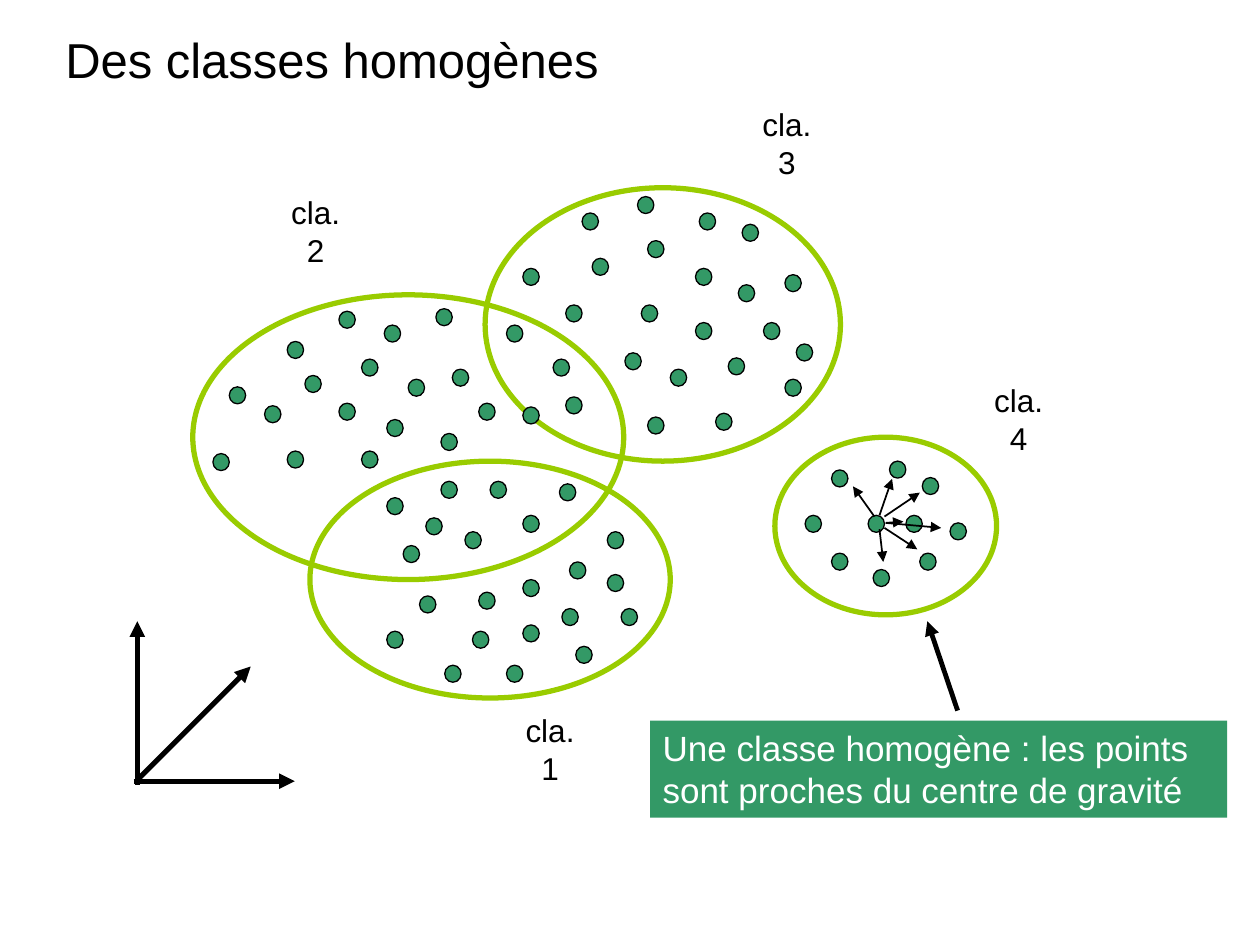
"""Build the slide on homogeneous classes, on a grid of 100 columns by 75 rows."""
from lxml import etree
from pptx import Presentation
from pptx.dml.color import RGBColor
from pptx.enum.shapes import MSO_CONNECTOR, MSO_SHAPE
from pptx.enum.text import MSO_ANCHOR, PP_ALIGN
from pptx.oxml.ns import qn
from pptx.util import Inches, Pt

OVAL, RECT, LINE = MSO_SHAPE.OVAL, MSO_SHAPE.RECTANGLE, MSO_CONNECTOR.STRAIGHT
MID, TOP = MSO_ANCHOR.MIDDLE, MSO_ANCHOR.TOP
LEFT, CENTER = PP_ALIGN.LEFT, PP_ALIGN.CENTER

THEME = {
    "font": "Arial",
    "ink": "000000", "ring": "99CC00", "dot": "339966", "paper": "FFFFFF",
    "title": 28, "note": 20, "label": 18,
    "bold": 3, "hint": 2.75, "ray": 1, "edge": 0.75,
}
WIDE, HIGH, COLS = 10, 7.5, 100
DOT = (1.3, 1.35)
TAG = (10.5, 5.3)

TITLE = ("Des classes homogènes", (4.2, 2.4, 91.7, 5.2))
NOTE = ("Une classe homogène : les points sont proches du centre de gravité",
        (51.6, 57.2, 45.8, 7.7))

CLASSES = [
    {"name": "cla. 2", "tag": (19.8, 15.7), "ring": (15.3, 23.4, 34.2, 22.6),
     "dots": [(34.6, 24.5), (43.9, 28.5), (44.9, 31.5), (40.2, 25.8),
              (35, 34.4), (22.8, 35.8), (26.9, 32), (38, 32), (32.4, 30.1),
              (30.7, 33.3), (28.7, 35.8), (22.8, 27.1), (26.9, 24.7),
              (28.7, 28.5), (30.5, 25.8), (18.2, 30.7), (16.9, 36),
              (21, 32.2), (24.2, 29.8), (35.9, 29.3), (41.5, 32.3)]},
    {"name": "cla. 1", "tag": (38.4, 56.8), "ring": (24.6, 36.6, 28.6, 18.8),
     "dots": [(41.5, 40.9), (30.7, 39.5), (44.4, 38.4), (38.9, 38.2),
              (33.8, 41.1), (36.9, 42.2), (45.2, 44.6), (41.5, 46),
              (38, 47), (48.2, 42.2), (32, 43.3), (44.6, 48.3),
              (45.7, 51.3), (35.3, 52.8), (37.5, 50.1), (40.2, 52.8),
              (49.3, 48.3), (48.2, 45.6), (35, 38.2), (41.5, 49.6),
              (33.3, 47.3), (30.7, 50.1)]},
    {"name": "cla. 3", "tag": (57.2, 8.7), "ring": (38.5, 14.9, 28.2, 21.7),
     "dots": [(58.6, 22.6), (49.6, 28), (57.8, 28.4), (56.8, 32.8),
              (63.2, 27.3), (55.5, 16.9), (62.3, 30.1), (51.4, 33.1),
              (55.2, 25.6), (60.6, 25.6), (41.5, 21.3), (53.2, 29.3),
              (58.9, 17.8), (44.9, 24.2), (47, 20.5), (62.3, 21.8),
              (55.2, 21.3), (51.4, 19.1), (50.9, 24.2), (46.2, 16.9),
              (50.6, 15.6)]},
    {"name": "cla. 4", "tag": (75.6, 30.6), "ring": (61.5, 34.7, 17.6, 14.1),
     "dots": [(71.9, 40.9), (73, 43.9), (66, 37.3), (68.9, 40.9),
              (63.9, 40.9), (66, 43.9), (75.4, 41.5), (73.2, 37.9),
              (70.6, 36.6), (69.3, 45.2)]},
]

ARROWS = {
    "bold": [(10.9, 62.3, 10.9, 49.3), (10.9, 61.9, 19.9, 52.9),
             (10.6, 62, 23.4, 62)],
    "ray": [(69.8, 40.9, 70.8, 38), (70.2, 41, 73, 39.1),
            (70.3, 41.5, 71.7, 41.4), (70.3, 41.5, 74.7, 41.9),
            (70.2, 41.9, 72.8, 43.6), (69.8, 42, 70.1, 44.6),
            (69.4, 41, 67.7, 38.6)],
    "hint": [(76, 56.4, 73.6, 49.3)],
}


def grid(cells):
    return [Inches(n * WIDE / COLS) for n in cells]


def tint(name):
    return RGBColor.from_string(THEME[name])


def assign(item, **vals):
    for key, val in vals.items():
        setattr(item, key, val)


def draw(page, kind, box, fill=None, line=None, width=None):
    shape = page.shapes.add_shape(kind, *grid(box))
    shape.shadow.inherit = False
    if fill:
        shape.fill.solid()
        shape.fill.fore_color.rgb = tint(fill)
    else:
        shape.fill.background()
    if line:
        shape.line.color.rgb = tint(line)
        shape.line.width = Pt(THEME[width])
    else:
        shape.line.fill.background()
    return shape


def write(shape, text, size, color="ink", align=LEFT, anchor=MID, pad=(1, 0.5), lead=1):
    frame = shape.text_frame
    side, edge = grid(pad)
    assign(frame, word_wrap=True, vertical_anchor=anchor, margin_left=side,
           margin_right=side, margin_top=edge, margin_bottom=edge)
    para = frame.paragraphs[0]
    assign(para, text=text, alignment=align, line_spacing=lead)
    font = para.runs[0].font
    assign(font, name=THEME["font"], size=Pt(THEME[size]))
    font.color.rgb = tint(color)


def arrow(page, ends, width):
    line = page.shapes.add_connector(LINE, *grid(ends))
    line.line.color.rgb = tint("ink")
    line.line.width = Pt(THEME[width])
    stroke = line.line._get_or_add_ln()
    etree.SubElement(stroke, qn("a:tailEnd"), type="triangle")
    etree.SubElement(stroke.getparent(), qn("a:effectLst"))


def main():
    deck = Presentation()
    assign(deck, slide_width=Inches(WIDE), slide_height=Inches(HIGH))
    page = deck.slides.add_slide(deck.slide_layouts[6])

    for group in CLASSES:
        draw(page, OVAL, group["ring"], line="ring", width="bold")
    for group in CLASSES:
        for spot in group["dots"]:
            draw(page, OVAL, spot + DOT, "dot", "ink", "edge")
        tag = page.shapes.add_textbox(*grid(group["tag"] + TAG))
        write(tag, group["name"], "label", align=CENTER, pad=(2.3, 1.1))

    text, box = TITLE
    write(page.shapes.add_textbox(*grid(box)), text, "title", lead=0.9)
    for width, lines in ARROWS.items():
        for ends in lines:
            arrow(page, ends, width)
    text, box = NOTE
    write(draw(page, RECT, box, "dot"), text, "note", "paper", anchor=TOP)

    deck.save("out.pptx")


if __name__ == "__main__":
    main()
